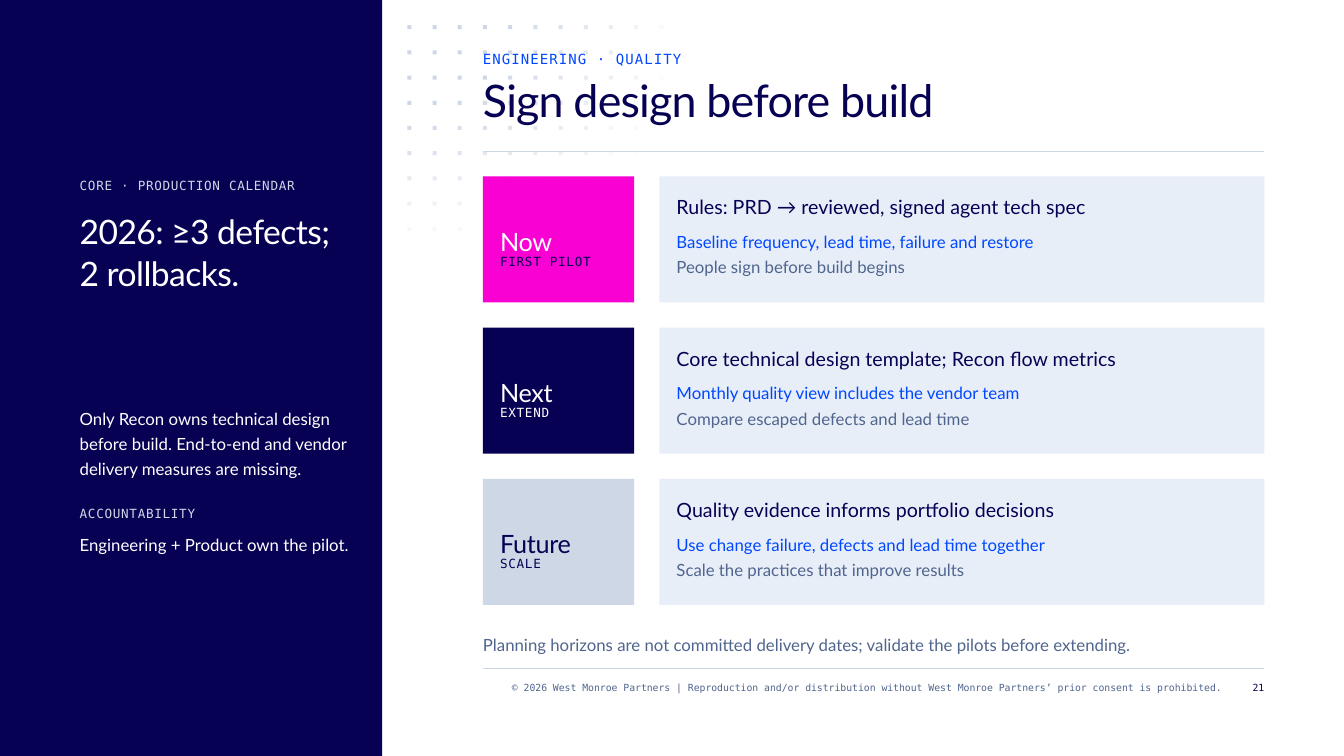
"""Build the engineering quality roadmap slide."""
from math import hypot

from lxml.etree import SubElement
from pptx import Presentation
from pptx.dml.color import RGBColor
from pptx.enum.shapes import MSO_CONNECTOR, MSO_SHAPE
from pptx.enum.text import MSO_ANCHOR, MSO_AUTO_SIZE, PP_ALIGN
from pptx.oxml.ns import qn
from pptx.util import Inches, Pt

COLORS = {"navy": "070154", "mist": "CED7E6", "blue": "0047FF", "slate": "50658E",
          "white": "FFFFFF", "pink": "F900D3", "card": "E8EEF8"}
MONO, SANS = "DejaVu Sans Mono", "Lato"
STYLES = {
    "eyebrow": {"name": MONO, "size": 10, "line": 12, "tracking": 80},
    "title": {"name": SANS, "size": 32, "line": 36, "tracking": -60},
    "label": {"name": MONO, "size": 9, "line": 12, "tracking": 50},
    "headline": {"name": SANS, "size": 24, "line": 30, "tracking": -40},
    "horizon": {"name": SANS, "size": 18, "line": 24, "tracking": -20},
    "lead": {"name": SANS, "size": 14, "line": 21, "tracking": 0},
    "body": {"name": SANS, "size": 12, "line": 18, "tracking": 0},
    "footer": {"name": MONO, "size": 7, "line": 9, "tracking": 0},
}
HORIZONS = [
    ("Now", "FIRST PILOT", "pink", "white", "navy",
     "Rules: PRD → reviewed, signed agent tech spec",
     "Baseline frequency, lead time, failure and restore",
     "People sign before build begins"),
    ("Next", "EXTEND", "navy", "white", "white",
     "Core technical design template; Recon flow metrics",
     "Monthly quality view includes the vendor team",
     "Compare escaped defects and lead time"),
    ("Future", "SCALE", "mist", "navy", "navy",
     "Quality evidence informs portfolio decisions",
     "Use change failure, defects and lead time together",
     "Scale the practices that improve results"),
]


def rgb(color):
    """Return the named colour."""
    return RGBColor.from_string(COLORS[color])


def write(box, lines, style, color, align=PP_ALIGN.LEFT):
    """Fill a text box with lines in one style."""
    look = STYLES[style]
    frame = box.text_frame
    frame_format = {"margin_left": 0, "margin_right": 0, "margin_top": 0, "margin_bottom": 0,
                    "auto_size": MSO_AUTO_SIZE.NONE, "word_wrap": True,
                    "vertical_anchor": MSO_ANCHOR.TOP}
    for key, value in frame_format.items():
        setattr(frame, key, value)
    for index, line in enumerate(lines):
        para = frame.add_paragraph() if index else frame.paragraphs[0]
        para_format = {"alignment": align, "line_spacing": Pt(look["line"]),
                       "space_before": Pt(0), "space_after": Pt(0)}
        for key, value in para_format.items():
            setattr(para, key, value)
        span = para.add_run()
        span.text = line
        for key, value in {"name": look["name"], "size": Pt(look["size"])}.items():
            setattr(span.font, key, value)
        span.font.color.rgb = rgb(color)
    for properties in box.element.iter(qn("a:rPr")):
        properties.set("spc", str(look["tracking"]))


def add_text(page, place, lines, style, color, align=PP_ALIGN.LEFT):
    """Add a text box at a place given in inches."""
    box = page.shapes.add_textbox(*map(Inches, place))
    write(box, lines, style, color, align)


def add_block(page, place, color, opacity=100):
    """Add a plain filled rectangle."""
    block = page.shapes.add_shape(MSO_SHAPE.RECTANGLE, *map(Inches, place))
    block.shadow.inherit = False
    block.line.fill.background()
    block.fill.solid()
    block.fill.fore_color.rgb = rgb(color)
    if opacity < 100:
        fill_color = next(block.element.iter(qn("a:srgbClr")))
        SubElement(fill_color, qn("a:alpha")).set("val", str(opacity * 1000))


def add_rule(page, left, top, width):
    """Add a thin horizontal line."""
    rule = page.shapes.add_connector(MSO_CONNECTOR.STRAIGHT, Inches(left), Inches(top),
                                     Inches(left + width), Inches(top))
    rule.line.color.rgb = rgb("mist")
    rule.line.width = Pt(0.75)
    SubElement(rule.element.spPr, qn("a:effectLst"))


def add_dots(page, left, top):
    """Add the dot grid, fading with distance from its corner."""
    for column in range(11):
        for row in range(9 if column < 4 else 7):
            opacity = round(152.5 * (1 - hypot(column / 11.07, row / 9.07)))
            if opacity > 0:
                place = (left + column * 0.25, top + row * 0.25, 0.04, 0.04)
                add_block(page, place, "mist", opacity)


def add_rail(page, left, top, width, height):
    """Add the dark side panel and its texts."""
    add_block(page, (left, top, width, height), "navy")
    texts = [
        (1.75, 0.17, ["CORE · PRODUCTION CALENDAR"], "label", "mist"),
        (2.08, 0.83, ["2026: ≥3 defects;", "2 rollbacks."], "headline", "white"),
        (4, 0.75, ["Only Recon owns technical design before build. "
                   "End-to-end and vendor delivery measures are missing."], "body", "white"),
        (5, 0.17, ["ACCOUNTABILITY"], "label", "mist"),
        (5.25, 0.25, ["Engineering + Product own the pilot."], "body", "white"),
    ]
    for offset, depth, lines, style, color in texts:
        add_text(page, (left + 0.79, top + offset, 2.75, depth), lines, style, color)


def add_header(page, left, top, width):
    """Add the eyebrow, the title and the rule below them."""
    add_rule(page, left, top + 1, width)
    add_text(page, (left, top, width, 0.17), ["ENGINEERING · QUALITY"], "eyebrow", "blue")
    title = page.shapes.title
    for key, value in {"left": left, "top": top + 0.25, "width": width, "height": 0.75}.items():
        setattr(title, key, Inches(value))
    write(title, ["Sign design before build"], "title", "navy")
    title.element.getparent().append(title.element)


def add_horizon(page, left, top, width, height, horizon):
    """Add one horizon tile with its card."""
    name, stage, fill, name_color, stage_color, lead, measure, action = horizon
    card = left + 1.75
    add_block(page, (left, top, 1.5, height), fill)
    add_text(page, (left + 0.17, top + 0.46, 1.17, 0.33), [name], "horizon", name_color)
    add_text(page, (left + 0.17, top + 0.75, 1.25, 0.17), [stage], "label", stage_color)
    add_block(page, (card, top, width - 1.75, height), "card")
    texts = [(0.13, 0.29, lead, "lead", "navy"),
             (0.5, 0.25, measure, "body", "blue"),
             (0.75, 0.25, action, "body", "slate")]
    for offset, depth, line, style, color in texts:
        add_text(page, (card + 0.17, top + offset, 5.67, depth), [line], style, color)


def add_footer(page, left, top, width):
    """Add the planning note, the rule, the copyright line and the page number."""
    add_text(page, (left, top, width, 0.25),
             ["Planning horizons are not committed delivery dates; "
              "validate the pilots before extending."], "body", "slate")
    add_rule(page, left, top + 0.38, width)
    add_text(page, (left, top + 0.5, 7.33, 0.25),
             ["© 2026 West Monroe Partners | Reproduction and/or distribution without "
              "West Monroe Partners’ prior consent is prohibited."],
             "footer", "slate", PP_ALIGN.RIGHT)
    add_text(page, (left + width - 0.33, top + 0.5, 0.33, 0.25), ["21"],
             "footer", "navy", PP_ALIGN.RIGHT)


def main():
    """Build and save the deck."""
    deck = Presentation()
    deck.slide_width, deck.slide_height = Inches(13.33), Inches(7.5)
    page = deck.slides.add_slide(deck.slide_layouts[5])
    left, width = 4.79, 7.75
    add_rail(page, 0, 0, 3.79, 7.5)
    add_dots(page, 4.04, 0.25)
    add_header(page, left, 0.5, width)
    for index, horizon in enumerate(HORIZONS):
        add_horizon(page, left, 1.75 + index * 1.5, width, 1.25, horizon)
    add_footer(page, left, 6.25, width)
    deck.save("out.pptx")


if __name__ == "__main__":
    main()
